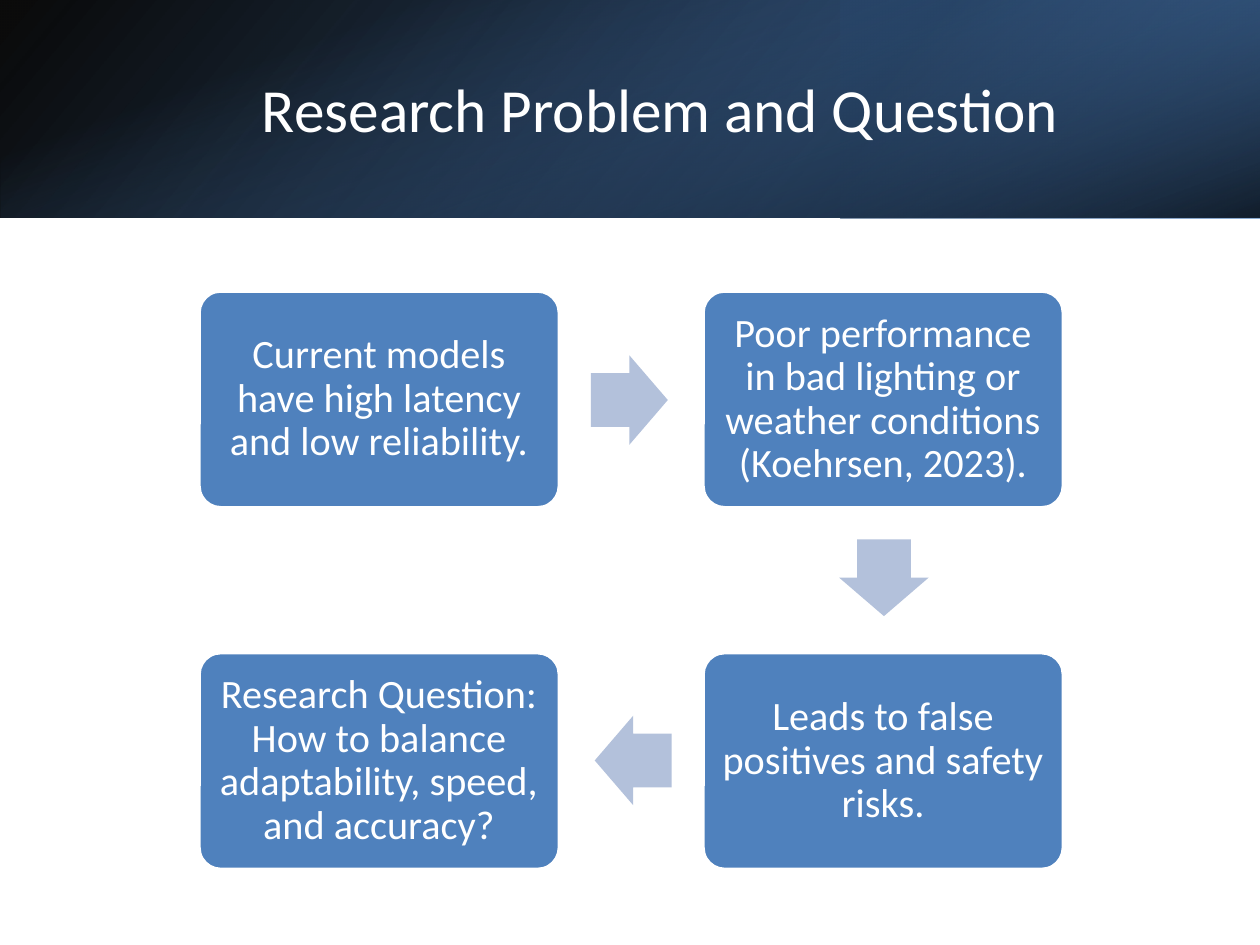
from pptx import Presentation
from pptx.dml.color import RGBColor
from pptx.enum.shapes import MSO_SHAPE as Shape
from pptx.enum.text import MSO_ANCHOR as Anchor, PP_ALIGN as Align
from pptx.oxml.ns import qn
from pptx.util import Inches, Pt
from lxml import etree


def color(code):
    return RGBColor.from_string(code)


def write(frame, text, size):
    frame.word_wrap = True
    frame.vertical_anchor = Anchor.MIDDLE
    para = frame.paragraphs[0]
    para.alignment = Align.CENTER
    run = para.add_run()
    run.text = text
    run.font.name = "Calibri"
    run.font.size = Pt(size)
    run.font.color.rgb = color("FFFFFF")
    return para


deck = Presentation()
deck.slide_width, deck.slide_height = Inches(10), Inches(7.5)
slide = deck.slides.add_slide(deck.slide_layouts[5])
shapes = slide.shapes

# Header band: box, rotation, flip, angle, stops (position %, colour, opacity %)
bands = [
    ((0, 0, 10, 1.73), 0, True, 140, [(0, "000000", 96), (100, "376092", 100)]),
    ((6.67, 0, 3.33, 1.73), 180, True, 320, [(19, "254061", 68), (100, "4F81BD", 79)]),
    ((4.14, -4.14, 1.73, 10), 90, False, 340, [(23, "4F81BD", 0), (99, "000000", 74)]),
]
for box, turn, flip, angle, stops in bands:
    band = shapes.add_shape(Shape.RECTANGLE, *map(Inches, box))
    band.shadow.inherit = False
    band.line.fill.background()
    band.rotation = turn
    if flip:
        band._element.spPr.find(qn("a:xfrm")).set("flipH", "1")
    band.fill.gradient()
    band.fill.gradient_angle = 360 - angle
    for stop, (pos, code, _) in zip(band.fill.gradient_stops, stops):
        stop.position = pos / 100
        stop.color.rgb = color(code)
    tints = list(band._element.spPr.iter(qn("a:srgbClr")))
    for tint, (_, _, alpha) in zip(tints, stops):
        etree.SubElement(tint, qn("a:alpha")).set("val", str(alpha * 1000))

# Title, brought in front of the band
title = shapes.title
title.left, title.top = Inches(1.12), Inches(0.38)
title.width, title.height = Inches(8.24), Inches(0.96)
write(title.text_frame, "Research Problem and Question", 35)
shapes._spTree.append(title._element)

# Steps, clockwise from the top left
left, right, top, low = 1.58, 5.58, 2.31, 5.18
steps = [
    (left, top, "Current models have high latency and low reliability."),
    (right, top, "Poor performance in bad lighting or weather conditions (Koehrsen, 2023)."),
    (right, low, "Leads to false positives and safety risks."),
    (left, low, "Research Question: How to balance adaptability, speed, and accuracy?"),
]
for x, y, text in steps:
    card = shapes.add_shape(Shape.ROUNDED_RECTANGLE, Inches(x), Inches(y),
                            Inches(2.86), Inches(1.72))
    card.shadow.inherit = False
    card.adjustments[0] = 0.1
    card.fill.solid()
    card.fill.fore_color.rgb = color("4F81BD")
    card.line.color.rgb = color("FFFFFF")
    card.line.width = Pt(2)
    frame = card.text_frame
    # The rounded corners add a further 0.05 inch of inset
    frame.margin_left = frame.margin_right = Inches(0.09)
    frame.margin_top = frame.margin_bottom = Inches(0.09)
    write(frame, text, 23).line_spacing = 0.9

# Arrows between the steps
for x, y, turn in [(4.69, 2.82, 0), (6.71, 4.23, 90), (4.72, 5.68, 180)]:
    arrow = shapes.add_shape(Shape.RIGHT_ARROW, Inches(x), Inches(y),
                             Inches(0.61), Inches(0.71))
    arrow.shadow.inherit = False
    arrow.rotation = turn
    arrow.adjustments[0] = 0.6
    arrow.adjustments[1] = 0.5
    arrow.fill.solid()
    arrow.fill.fore_color.rgb = color("B3C1DB")
    arrow.line.fill.background()

deck.save("out.pptx")
